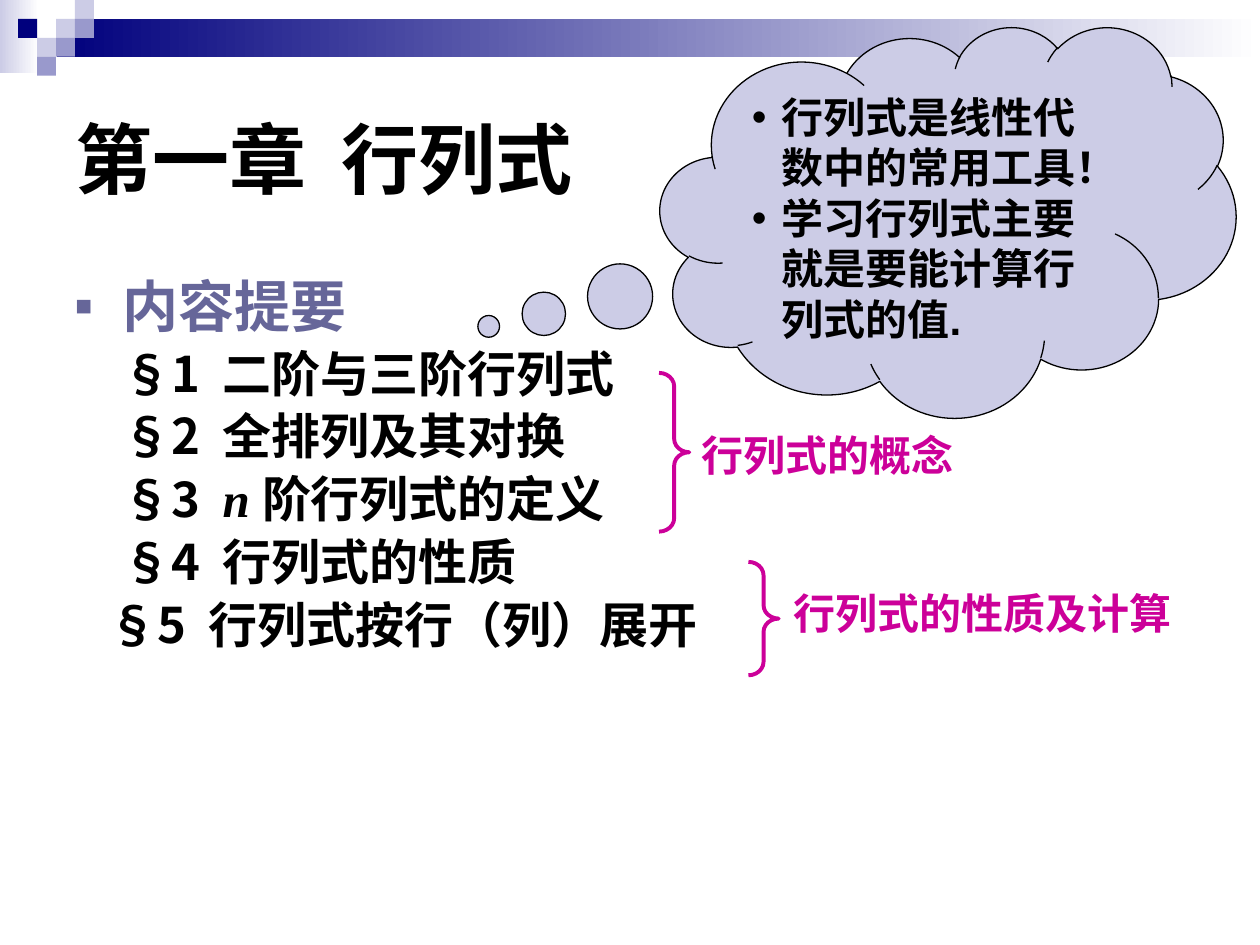
from pptx import Presentation
from pptx.dml.color import RGBColor as Rgb
from pptx.enum.shapes import MSO_SHAPE as Kind
from pptx.enum.text import MSO_ANCHOR as Anchor, PP_ALIGN as Align
from pptx.oxml.ns import qn
from pptx.util import Pt
from lxml.etree import SubElement as Sub

SANS, ROMAN, ARIAL = "Noto Sans CJK SC", "Times New Roman", "Arial"
HUES = {"navy": "00007D", "mid": "9999CC", "pale": "CCCCE6", "white": "FFFFFF",
        "black": "000000", "slate": "666699", "pink": "CC0099"}


def hue(name):
    return Rgb.from_string(HUES[name])


def style(run, size, color, face=SANS):
    font = run.font
    font.size, font.bold, font.name = Pt(size), True, face
    font.color.rgb = hue(color)
    Sub(run._r.get_or_add_rPr(), qn("a:ea"), typeface=SANS)


def indent(para, left, hang=0):
    props = para._p.get_or_add_pPr()
    props.set("marL", str(Pt(left)))
    props.set("indent", str(-Pt(hang)))
    return props


def bullet(para, mark, left, color, size):
    props = indent(para, left, left)
    tint = Sub(props, qn("a:buClr"))
    Sub(tint, qn("a:srgbClr"), val=HUES[color])
    Sub(props, qn("a:buSzPct"), val=str(size * 1000))
    Sub(props, qn("a:buFont"), typeface=ARIAL)
    Sub(props, qn("a:buChar"), char=mark)


def shape(slide, kind, box, fill=None, line=None, width=0.75):
    item = slide.shapes.add_shape(kind, *map(Pt, box))
    item.shadow.inherit = False
    if fill:
        item.fill.solid()
        item.fill.fore_color.rgb = hue(fill)
    else:
        item.fill.background()
    if line:
        item.line.color.rgb = hue(line)
        item.line.width = Pt(width)
    else:
        item.line.fill.background()
    return item


def fade(slide, box, color):
    fill = shape(slide, Kind.RECTANGLE, box).fill
    fill.gradient()
    fill.gradient_angle = 0
    for stop, name in zip(fill.gradient_stops, (color, "white")):
        stop.color.rgb = hue(name)


def banner(slide, x, y, w, h):
    unit = 10.8
    fade(slide, (x, y, 22.3, h), "pale")
    fade(slide, (x + 32.4, y + unit, w - 32.4, 21.6), "navy")
    tiles = [(2, 1, "pale"), (3, 0, "pale"), (3, 1, "mid"), (1, 2, "pale"),
             (0, 1, "navy"), (2, 2, "mid"), (1, 3, "mid")]
    for col, row, color in tiles:
        box = (x + 10.4 + col * unit, y + row * unit, unit, unit)
        shape(slide, Kind.RECTANGLE, box, color)


def heading(slide, x, y, w, h):
    title = slide.shapes.title
    title.left, title.top, title.width, title.height = map(Pt, (x, y, w, h))
    frame = title.text_frame
    frame.text = "第一章  行列式"
    frame.vertical_anchor = Anchor.MIDDLE
    frame.paragraphs[0].alignment = Align.LEFT
    style(frame.paragraphs[0].runs[0], 44, "black")


def outline(slide, x, y, w, h):
    frame = slide.shapes.add_textbox(*map(Pt, (x, y, w, h))).text_frame
    frame.word_wrap = True
    rows = [["内容提要"], ["§1  二阶与三阶行列式"], ["§2  全排列及其对换"],
            ["§3  ", "n ", "阶行列式的定义"], ["§4  行列式的性质"],
            ["§5  行列式按行（列）展开"]]
    for at, parts in enumerate(rows):
        para = frame.add_paragraph() if at else frame.paragraphs[0]
        size, color = (28, "black") if at else (32, "slate")
        para.line_spacing = 0.9
        para.space_before = Pt(size * 0.2)
        for part in parts:
            run = para.add_run()
            run.text = part
            slant = part == "n "
            style(run, size, color, ROMAN if slant else SANS)
            run.font.italic = slant
        if at:
            indent(para, 19 if at == 5 else 27)
        else:
            bullet(para, "■", 27, "slate", 50)


def group(slide, x, y, h, label, box):
    brace = shape(slide, Kind.RIGHT_BRACE, (x, y, 17.3, h), None, "pink", 2.25)
    brace.adjustments[0] = 0.442
    frame = slide.shapes.add_textbox(*map(Pt, box)).text_frame
    frame.word_wrap = True
    frame.text = label
    style(frame.paragraphs[0].runs[0], 24, "pink")


def cloud(slide, x, y, w, h):
    item = shape(slide, Kind.CLOUD_CALLOUT, (x, y, w, h), "pale", "black")
    item.adjustments[0], item.adjustments[1] = -0.798, 0.268
    frame = item.text_frame
    frame.vertical_anchor = Anchor.TOP
    frame.text = "行列式是线性代数中的常用工具！\n学习行列式主要就是要能计算行列式的值."
    for para in frame.paragraphs:
        para.alignment = Align.LEFT
        bullet(para, "•", 17, "black", 100)
        style(para.runs[0], 24, "black", ARIAL)


def main():
    deck = Presentation()
    deck.slide_width, deck.slide_height = Pt(720), Pt(540)
    slide = deck.slides.add_slide(deck.slide_layouts[5])
    banner(slide, 0, 0, 720, 41.8)
    heading(slide, 36, 36, 648, 108)
    outline(slide, 36, 156.2, 648, 306)
    group(slide, 376.6, 213.1, 90.7, "行列式的概念", (393.8, 241.9, 175.7, 36))
    group(slide, 427.7, 321.1, 64.8, "行列式的性质及计算", (446.4, 331.9, 238.3, 36))
    cloud(slide, 377.3, 15.1, 329, 223.2)
    deck.save("out.pptx")


if __name__ == "__main__":
    main()
